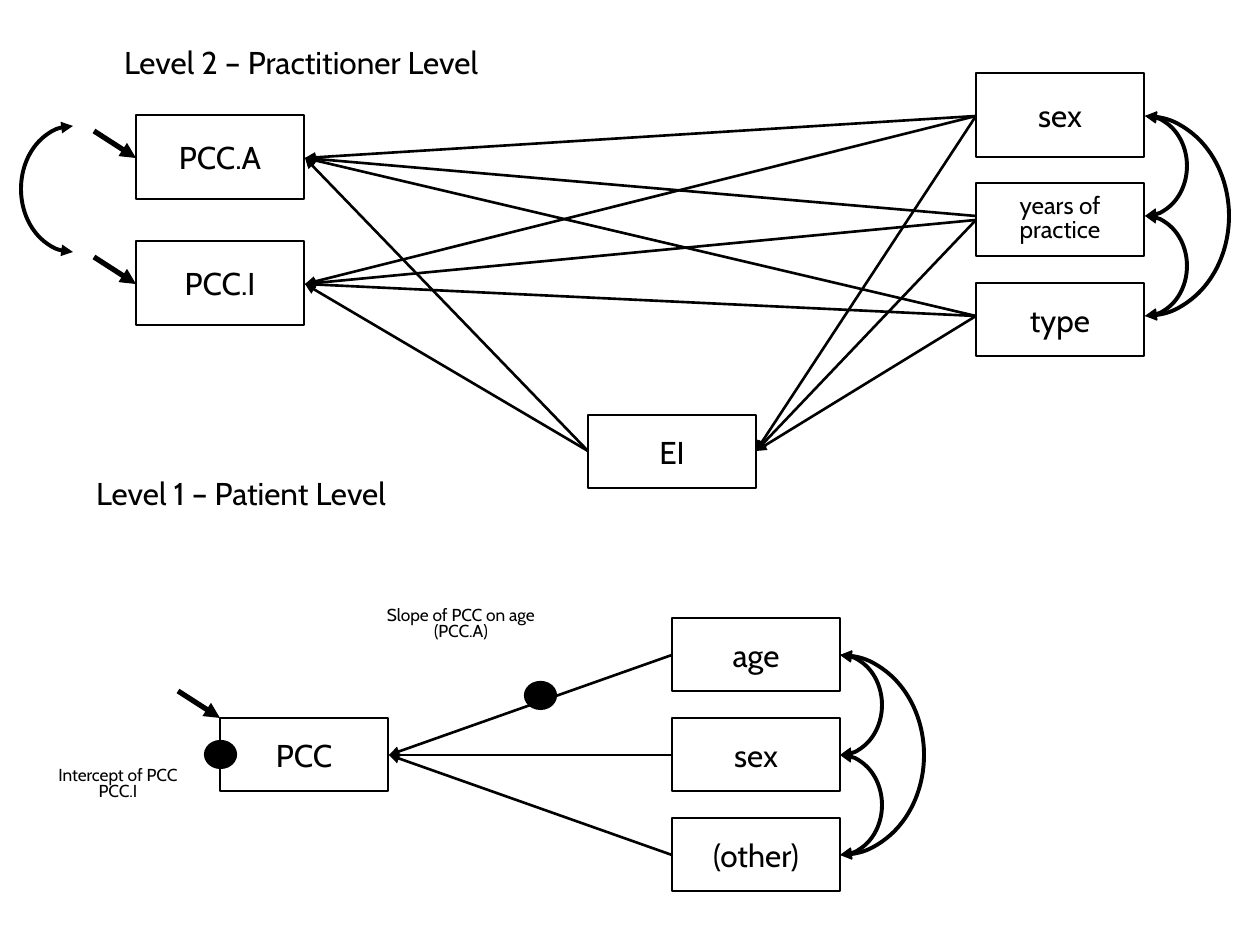
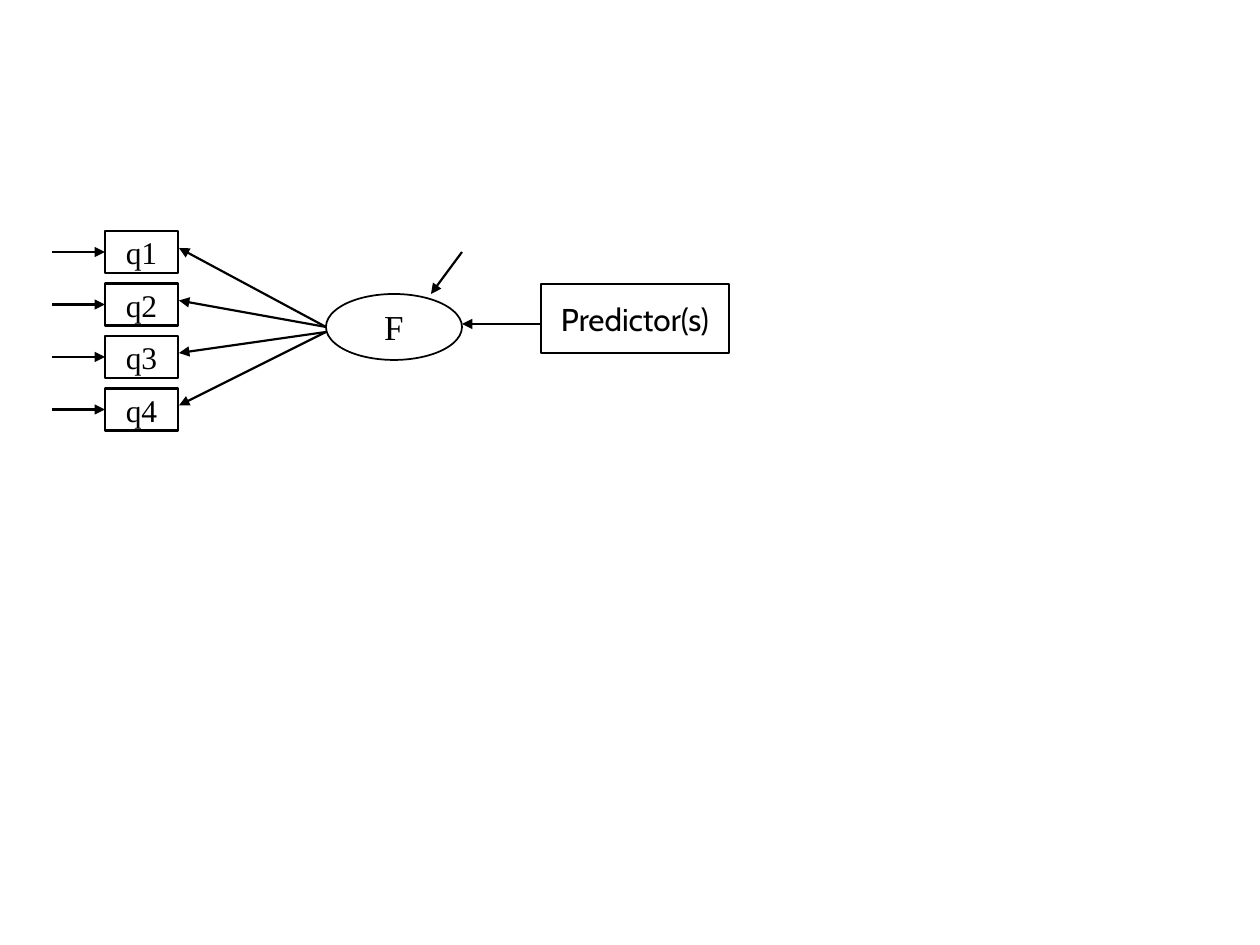
from lxml import etree
from pptx import Presentation
from pptx.dml.color import RGBColor
from pptx.enum.shapes import MSO_CONNECTOR, MSO_SHAPE
from pptx.enum.text import MSO_ANCHOR, PP_ALIGN
from pptx.oxml.ns import qn
from pptx.util import Pt

RECTANGLE, OVAL, ARC = MSO_SHAPE.RECTANGLE, MSO_SHAPE.OVAL, MSO_SHAPE.ARC
STRAIGHT = MSO_CONNECTOR.STRAIGHT
MIDDLE, CENTER = MSO_ANCHOR.MIDDLE, PP_ALIGN.CENTER

COLORS = {"ink": "000000", "paper": "FFFFFF"}
INK = RGBColor.from_string(COLORS["ink"])
SANS, SERIF = "Cabin", "Times New Roman"
PX = 914400 / 126


def stroke(shape, width, ends=()):
    """Outline a shape or connector, with arrowheads at the named ends."""
    shape.line.color.rgb = INK
    shape.line.width = Pt(width)
    line = shape.line._get_or_add_ln()
    for end in ends:
        etree.SubElement(line, qn("a:" + end), type="triangle")
    etree.SubElement(shape._element.spPr, qn("a:effectLst"))


def add_box(page, text, left, top, width, height, kind=RECTANGLE, line=1.5,
            font=SANS, size=18, spacing=1.0):
    """Add centred text in a shape, or in a bare text box if kind is None."""
    place = [round(n * PX) for n in (left, top, width, height)]
    if kind is None:
        box = page.shapes.add_textbox(*place)
    else:
        box = page.shapes.add_shape(kind, *place)
        box.fill.background()
        stroke(box, line)
    frame = box.text_frame
    frame.word_wrap = True
    frame.vertical_anchor = MIDDLE
    frame.text = text
    for para in frame.paragraphs:
        para.alignment = CENTER
        para.line_spacing = spacing
        para.font.name = font
        para.font.size = Pt(size)
        para.font.color.rgb = INK
    return box


deck = Presentation()
deck.slide_width, deck.slide_height = round(1260 * PX), round(945 * PX)
blank = deck.slide_layouts[6]
model_page, factor_page = [deck.slides.add_slide(blank) for _ in range(2)]
for page in (model_page, factor_page):
    page.background.fill.solid()
    page.background.fill.fore_color.rgb = RGBColor.from_string(COLORS["paper"])

# Slide 1: level headings and notes
add_box(model_page, "Level 2 – Practitioner Level", 91, 20, 420, 84, kind=None)
add_box(model_page, "Level 1 – Patient Level", 31, 451, 420, 84, kind=None)
for text, left, top, width in (
        ("Intercept of PCC\nPCC.I", 31, 755, 174),
        ("Slope of PCC on age\n(PCC.A)", 365, 595, 192)):
    add_box(model_page, text, left, top, width, 59, kind=None,
            size=9.9, spacing=0.8)

# Slide 1: variables
for text, left, top, height in (
        ("PCC.A", 136, 115, 84), ("PCC.I", 136, 241, 84),
        ("sex", 976, 73, 84), ("type", 976, 283, 73),
        ("EI", 588, 415, 73), ("PCC", 220, 718, 73)):
    add_box(model_page, text, left, top, 168, height)
add_box(model_page, "years of practice", 976, 183, 168, 73,
        size=13.9, spacing=0.8)
for row, text in enumerate(("age", "sex", "(other)")):
    add_box(model_page, text, 672, 618 + 100 * row, 168, 73)

# Slide 1: paths, from predictor to outcome
pcc_a, pcc_i, pcc = (305, 158), (305, 284), (389, 755)
ei_left, ei_right = (588, 451), (756, 451)
sex, years, kind_of_practice = (976, 116), (976, 216), (976, 316)
paths = [(start, end, 1.5)
         for start in (sex, kind_of_practice)
         for end in (pcc_a, pcc_i, ei_right)]
paths += [(years, pcc_a, 1.5), ((976, 220), pcc_i, 1.5),
          ((976, 220), ei_right, 1.5)]
paths += [(ei_left, end, 1.5) for end in (pcc_a, pcc_i)]
paths += [((672, y), pcc, 1.5) for y in (655, 755, 855)]
# Residual arrows
paths += [((x - 42, y - 27), (x, y), 3)
          for x, y in ((136, 158), (136, 284), (220, 718))]

# Slide 2: indicators, factor and predictor
factor_paths = []
for row in range(4):
    top = 231 + 52.5 * row
    add_box(factor_page, f"q{row + 1}", 105, top, 73, 42, font=SERIF)
    factor_paths += [
        ((52, top + 21), (105, top + 21), 1.5),
        ((326, 327 if row < 2 else 332), (179, 248 + 52.5 * row), 1.25)]
add_box(factor_page, "F", 326, 294, 136, 66, kind=OVAL, line=1,
        font=SERIF, size=20)
add_box(factor_page, "Predictor(s)", 541, 284, 188, 69, line=1.25)
factor_paths += [((462, 252), (431, 294), 1.25), ((541, 324), (462, 324), 1.25)]

# Arrows on both slides
for page, arrows in ((model_page, paths), (factor_page, factor_paths)):
    for start, end, width in arrows:
        arrow = page.shapes.add_connector(
            STRAIGHT, *[round(n * PX) for n in start + end])
        stroke(arrow, width, ["tailEnd"])

# Slide 1: covariances as half ellipses, angles in units of 100000/60000 degree
RIGHT_HALF, LEFT_HALF = (162, 54), (54, 162)
curves = [(73, 126, 252, 52, LEFT_HALF)]
for x, first in ((1145, 116), (840, 655)):
    curves += [(x, first, first + 100, 42, RIGHT_HALF),
               (x, first + 100, first + 200, 42, RIGHT_HALF),
               (x, first, first + 200, 84, RIGHT_HALF)]
for x, top, bottom, radius, angles in curves:
    curve = model_page.shapes.add_shape(
        ARC, *[round(n * PX) for n in (x - radius, top, 2 * radius, bottom - top)])
    curve.adjustments[0], curve.adjustments[1] = angles
    curve.fill.background()
    stroke(curve, 2.25, ["headEnd", "tailEnd"])

# Slide 1: dots for the random slope and intercept
for left, top in ((525, 682), (205, 741)):
    dot = model_page.shapes.add_shape(
        OVAL, *[round(n * PX) for n in (left, top, 31, 27)])
    dot.fill.solid()
    dot.fill.fore_color.rgb = INK
    stroke(dot, 1.25)

deck.save("out.pptx")
